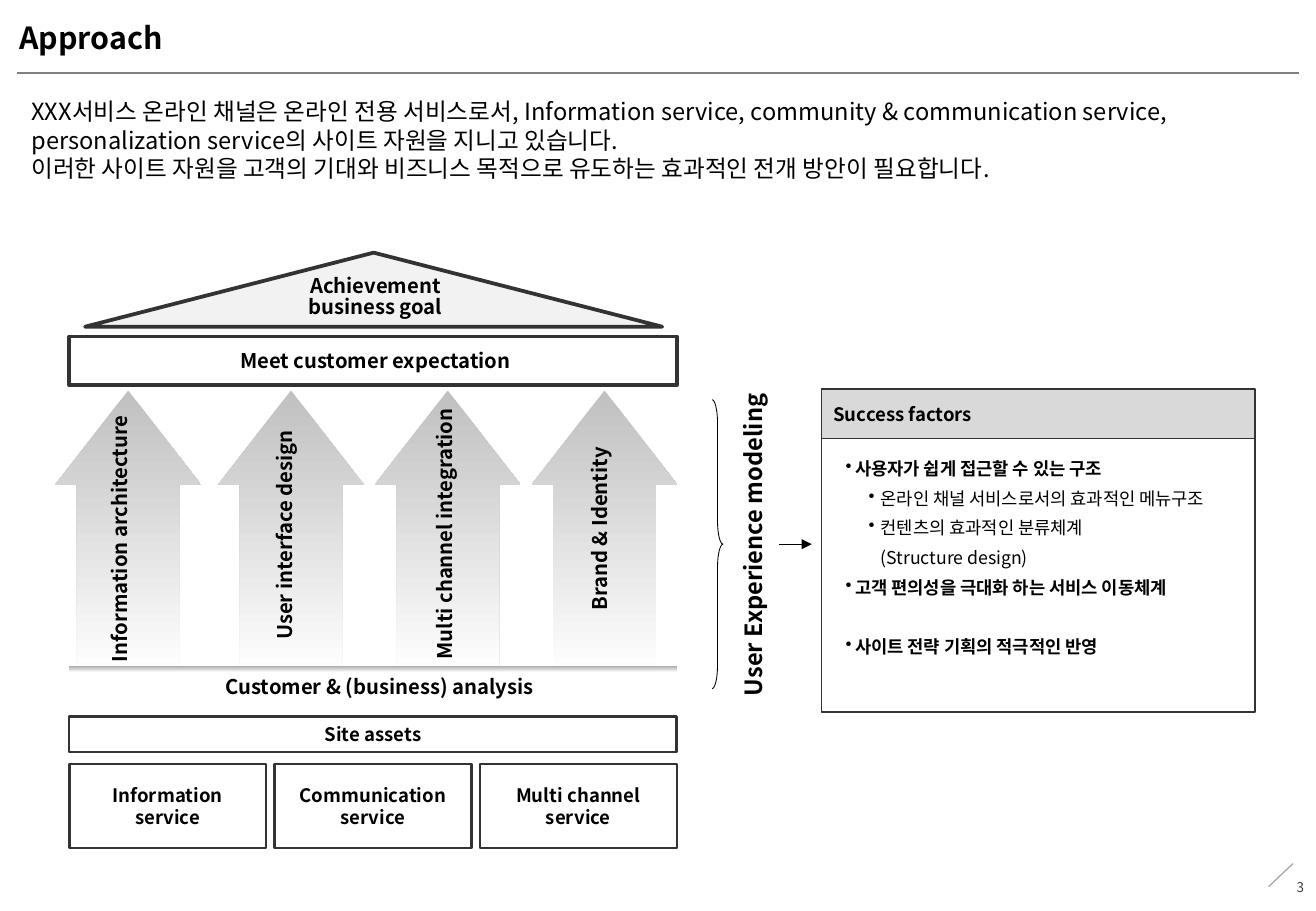
from pptx import Presentation
from pptx.dml.color import RGBColor
from pptx.enum.shapes import MSO_CONNECTOR as CONN, MSO_SHAPE as SHAPE
from pptx.enum.text import MSO_ANCHOR as ANCHOR, MSO_AUTO_SIZE as AUTO, PP_ALIGN as ALIGN
from pptx.oxml.ns import qn
from pptx.util import Pt
from lxml.etree import SubElement

PX = 9144  # 100 px to the inch
FONT = "Noto Sans CJK KR"
BLACK = RGBColor(0x00, 0x00, 0x00)
WHITE = RGBColor(0xFF, 0xFF, 0xFF)
DARK = RGBColor(0x33, 0x33, 0x33)
NUMBER = RGBColor(0x40, 0x40, 0x40)
RULE = RGBColor(0x80, 0x80, 0x80)
MID = RGBColor(0xA6, 0xA6, 0xA6)
SILVER = RGBColor(0xC0, 0xC0, 0xC0)
HEADER = RGBColor(0xD9, 0xD9, 0xD9)
ROOF = RGBColor(0xF2, 0xF2, 0xF2)

INTRO = (
    "XXX서비스 온라인 채널은 온라인 전용 서비스로서, Information service, community & "
    "communication service, personalization service의 사이트 자원을 지니고 있습니다.\n"
    "이러한 사이트 자원을 고객의 기대와 비즈니스 목적으로 유도하는 효과적인 전개 방안이 필요합니다."
)
# Arrow left, label, label box (left, top, width)
PILLARS = [
    (-12, "Information architecture", (-3, 428, 215)),
    (122, "User interface design", (144, 425, 193)),
    (251, "Multi channel integration", (276, 424, 192)),
    (380, "Brand & Identity", (423, 420, 152)),
]
SERVICES = ["Information\nservice", "Communication\nservice", "Multi channel\nservice"]
# Text, bold, left margin, hanging indent, space before in points
FACTORS = [
    ("사용자가 쉽게 접근할 수 있는 구조", True, 8, 8, 0),
    ("온라인 채널 서비스로서의 효과적인 메뉴구조", False, 29, 10, 0),
    ("컨텐츠의 효과적인 분류체계", False, 29, 10, 0),
    ("(Structure design)", False, 29, 0, 0),
    ("고객 편의성을 극대화 하는 서비스 이동체계", True, 8, 8, 0),
    ("사이트 전략 기획의 적극적인 반영", True, 8, 8, 17.7),
]


def px(*values):
    return [v * PX for v in values]


def format_run(r, size, bold, color):
    r.font.size, r.font.bold = Pt(size), bold
    r.font.color.rgb = color
    r.font.name = FONT
    SubElement(r._r.get_or_add_rPr(), qn("a:ea")).set("typeface", FONT)


def write(sp, text, size=12, bold=True, color=BLACK, align=ALIGN.CENTER,
          anchor=ANCHOR.TOP, spacing=None, wrap=False):
    tf = sp.text_frame
    tf.word_wrap, tf.vertical_anchor, tf.auto_size = wrap, anchor, AUTO.NONE
    for i, line in enumerate(text.split("\n")):
        p = tf.add_paragraph() if i else tf.paragraphs[0]
        p.alignment = align
        if spacing:
            p.line_spacing = spacing
        r = p.add_run()
        r.text = line
        format_run(r, size, bold, color)


def add_text(slide, box, text, rotation=0, **fmt):
    sp = slide.shapes.add_textbox(*px(*box))
    sp.rotation = rotation
    write(sp, text, **fmt)


def add_box(slide, kind, box, fill=None, line=None, width=1.0, adj=()):
    sp = slide.shapes.add_shape(kind, *px(*box))
    sp.shadow.inherit = False
    for i, value in enumerate(adj):
        sp.adjustments[i] = value
    if fill is None:
        sp.fill.background()
    else:
        sp.fill.solid()
        sp.fill.fore_color.rgb = fill
    if line is None:
        sp.line.fill.background()
    else:
        sp.line.color.rgb, sp.line.width = line, Pt(width)
    return sp


def fade_to_white(sp, start, end_at=1.0):
    sp.fill.gradient()
    sp.fill.gradient_angle = 270
    for stop, color, position in zip(sp.fill.gradient_stops, (start, WHITE), (0, end_at)):
        stop.color.rgb, stop.position = color, position
    # The fade stays vertical when the shape is turned
    sp._element.spPr.find(qn("a:gradFill")).set("rotWithShape", "0")


def add_line(slide, ends, color, width, arrow=False):
    c = slide.shapes.add_connector(CONN.STRAIGHT, *px(*ends))
    c.line.color.rgb, c.line.width = color, Pt(width)
    if arrow:
        SubElement(c.line._get_or_add_ln(), qn("a:tailEnd")).set("type", "triangle")
    SubElement(c._element.spPr, qn("a:effectLst"))


def add_title(slide, box, text):
    sp = slide.shapes.title
    sp.left, sp.top, sp.width, sp.height = px(*box)
    tf = sp.text_frame
    tf.margin_left = tf.margin_right = 0
    tf.margin_top = tf.margin_bottom = 6 * PX
    write(sp, text, size=18, align=ALIGN.LEFT, wrap=True)


def add_bullets(slide, box, items):
    tf = slide.shapes.add_textbox(*px(*box)).text_frame
    tf.word_wrap = True
    for i, (text, bold, margin, hanging, before) in enumerate(items):
        p = tf.add_paragraph() if i else tf.paragraphs[0]
        p.line_spacing = 1.4
        if before:
            p.space_before = Pt(before)
        pPr = p._p.get_or_add_pPr()
        pPr.set("marL", str(margin * PX))
        pPr.set("indent", str(-hanging * PX))
        if hanging:
            SubElement(pPr, qn("a:buChar")).set("char", "•")
        else:
            SubElement(pPr, qn("a:buNone"))
        r = p.add_run()
        r.text = text
        format_run(r, 10.5, bold, BLACK)


def add_temple(slide):
    # Pillars
    for left, label, (x, y, w) in PILLARS:
        sp = add_box(slide, SHAPE.RIGHT_ARROW, (left, 379, 235, 120), adj=(0.705, 0.645))
        sp.rotation = 270
        fade_to_white(sp, SILVER)
        add_text(slide, (x, y, w, 31), label, rotation=270, spacing=0.7)

    # Base
    fade_to_white(add_box(slide, SHAPE.RECTANGLE, (57, 548, 500, 29)), MID, 0.19)
    add_text(slide, (174, 556, 277, 25), "Customer & (business) analysis", spacing=0.7)

    # Beam and roof
    add_box(slide, SHAPE.RECTANGLE, (57, 277, 500, 40), line=DARK, width=2.25)
    add_text(slide, (190, 284, 238, 29), "Meet customer expectation", spacing=0.9)
    add_box(slide, SHAPE.ISOSCELES_TRIANGLE, (70, 208, 475, 61), ROOF, DARK, 2.25)
    add_text(slide, (242, 222, 134, 47), "Achievement\nbusiness goal", spacing=0.9)

    # Site assets
    sp = add_box(slide, SHAPE.RECTANGLE, (57, 590, 500, 29), WHITE, DARK, 1.5)
    write(sp, "Site assets", size=11, anchor=ANCHOR.MIDDLE)
    for i, service in enumerate(SERVICES):
        sp = add_box(slide, SHAPE.RECTANGLE, (57 + 169 * i, 629, 162, 69), WHITE, DARK, 1.5)
        write(sp, service, size=11, anchor=ANCHOR.MIDDLE)


def add_success_factors(slide):
    add_box(slide, SHAPE.RIGHT_BRACE, (586, 329, 9, 238), line=BLACK, width=0.5,
            adj=(2.17, 0.5))
    add_text(slide, (490, 435, 266, 27), "User Experience modeling",
             rotation=270, size=14, spacing=0.7)
    add_line(slide, (641, 448, 668, 448), BLACK, 0.5, arrow=True)
    add_box(slide, SHAPE.RECTANGLE, (676, 361, 357, 225), line=DARK)
    sp = add_box(slide, SHAPE.RECTANGLE, (676, 320, 357, 41), HEADER, DARK)
    write(sp, "Success factors", size=11, align=ALIGN.LEFT, anchor=ANCHOR.MIDDLE)
    add_bullets(slide, (686, 365, 348, 216), FACTORS)


def main():
    prs = Presentation()
    prs.slide_width, prs.slide_height = px(1083, 750)
    slide = prs.slides.add_slide(prs.slide_layouts[5])

    # Page frame
    add_line(slide, (14, 60, 1069, 60), RULE, 0.75)
    add_line(slide, (1064, 711, 1044, 730), MID, 0.75)
    add_text(slide, (1022, 710, 61, 40), "3", size=8, bold=False, color=NUMBER,
             align=ALIGN.RIGHT, anchor=ANCHOR.MIDDLE, wrap=True)

    # Heading and introduction
    add_title(slide, (16, 10, 809, 42), "Approach")
    add_text(slide, (16, 75, 1054, 81), INTRO, size=14, bold=False,
             align=ALIGN.LEFT, wrap=True)

    add_temple(slide)
    add_success_factors(slide)
    prs.save("out.pptx")


if __name__ == "__main__":
    main()
